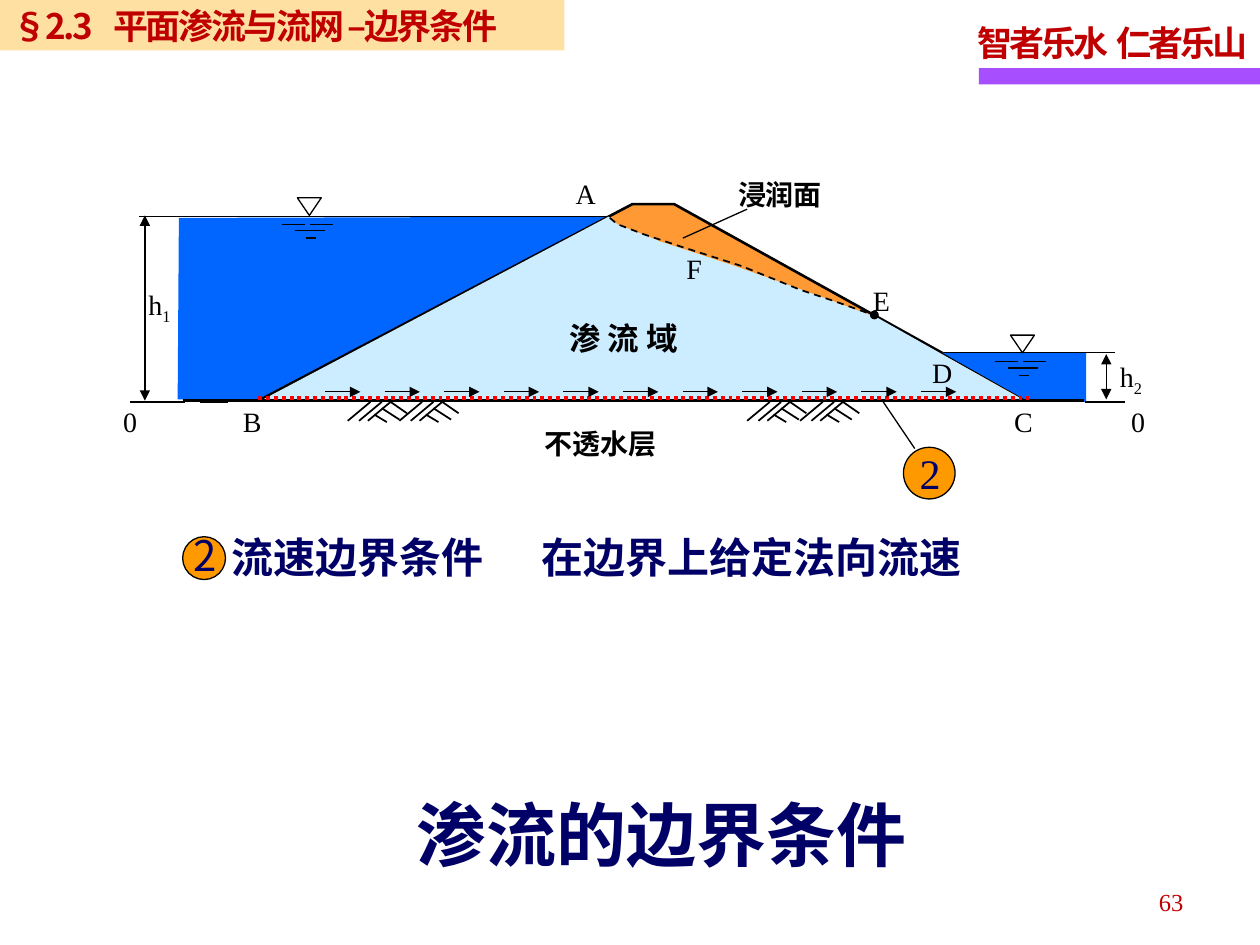
import pptx
import pptx.util
from lxml import etree
from pptx.dml.color import RGBColor
from pptx.enum.dml import MSO_LINE
from pptx.enum.shapes import MSO_CONNECTOR, MSO_SHAPE
from pptx.enum.text import MSO_ANCHOR, PP_ALIGN
from pptx.oxml.ns import qn
from pptx.util import Inches

BLACK = RGBColor(0, 0, 0)
NAVY = RGBColor(0x00, 0x00, 0x66)
CRIMSON = RGBColor(0xC0, 0x00, 0x00)
RED = RGBColor(0xFF, 0x00, 0x00)
PURPLE = RGBColor(0xA7, 0x4F, 0xFF)
CREAM = RGBColor(0xFF, 0xCC, 0x66)
AMBER = RGBColor(0xFF, 0x99, 0x00)
ORANGE = RGBColor(0xFF, 0x99, 0x33)
WATER = RGBColor(0x00, 0x66, 0xFF)
PALE = RGBColor(0xCC, 0xEC, 0xFF)
ROMAN = "Times New Roman"
SANS = "Noto Sans CJK SC"


class Sketch:
    def __init__(self, slide):
        self.slide = slide
        self.shapes = slide.shapes

    def paint(self, shape, fill, width):
        shape.shadow.inherit = False
        if fill is None:
            shape.fill.background()
        else:
            shape.fill.solid()
            shape.fill.fore_color.rgb = fill
        if width:
            shape.line.color.rgb = BLACK
            shape.line.width = pptx.util.Pt(width)
        else:
            shape.line.fill.background()
        return shape

    def shape(self, kind, x, y, w, h, fill=None, width=0.75):
        box = [Inches(v) for v in (x, y, w, h)]
        return self.paint(self.shapes.add_shape(kind, *box), fill, width)

    def free(self, points, fill=None, width=0, close=True):
        spots = [(Inches(x), Inches(y)) for x, y in points]
        pen = self.shapes.build_freeform(*spots[0])
        pen.add_line_segments(spots[1:], close=close)
        return self.paint(pen.convert_to_shape(), fill, width)

    def line(self, x1, y1, x2, y2, width=0.75, color=BLACK, ends=()):
        spots = [Inches(v) for v in (x1, y1, x2, y2)]
        link = self.shapes.add_connector(MSO_CONNECTOR.STRAIGHT, *spots)
        link.line.color.rgb = color
        link.line.width = pptx.util.Pt(width)
        for end in ends:
            etree.SubElement(link.line._get_or_add_ln(), qn("a:" + end), type="triangle")
        etree.SubElement(link._element.spPr, qn("a:effectLst"))
        return link

    def text(self, x, y, w, h, words, size=16, color=BLACK, bold=False, face=ROMAN,
             align=PP_ALIGN.LEFT, space=1.0, track=0, tab=None, sub=None, inset=0.1):
        box = self.shapes.add_textbox(*[Inches(v) for v in (x, y, w, h)])
        frame = box.text_frame
        frame.margin_left = frame.margin_right = Inches(inset)
        self.label(frame, words, size, color, bold, face, align, space, track, tab, sub)

    def label(self, frame, words, size, color, bold, face,
              align=PP_ALIGN.LEFT, space=1.0, track=0, tab=None, sub=None):
        frame.word_wrap = True
        para = frame.paragraphs[0]
        para.alignment = align
        para.line_spacing = space
        if tab:
            stops = etree.SubElement(para._p.get_or_add_pPr(), qn("a:tabLst"))
            etree.SubElement(stops, qn("a:tab"), pos=str(Inches(tab)), algn="l")
        font = para.font
        font.name, font.size, font.bold = face, pptx.util.Pt(size), bold
        font.color.rgb = color
        if track:
            font._rPr.set("spc", str(track))
        etree.SubElement(font._rPr, qn("a:ea"), typeface=SANS)
        para.add_run().text = words
        if sub:
            low = para.add_run()
            low.text = sub
            low.font._rPr.set("baseline", "-25000")

    def level(self, x, y):
        """Water level mark, hung from the surface at x, y."""
        self.shape(MSO_SHAPE.ISOSCELES_TRIANGLE, x - 0.1, y - 0.14, 0.19, 0.14).rotation = 180
        for left, right, drop in ((-0.22, -0.04, 0.07), (0, 0.18, 0.07),
                                  (-0.12, 0.12, 0.12), (-0.03, 0.05, 0.18)):
            self.line(x + left, y + drop, x + right, y + drop)

    def hatch(self, x):
        """Ground strokes whose left end is x."""
        for step in (0, 0.09, 0.16):
            self.line(x + step + 0.18, 3.19, x + step, 3.34, 1)
        for left, top, right, base in ((0.27, 3.24, 0.41, 3.33), (0.21, 3.29, 0.31, 3.35),
                                       (0.34, 3.19, 0.47, 3.28)):
            self.line(x + left, top, x + right, base, 1)


def main():
    deck = pptx.Presentation()
    deck.slide_width, deck.slide_height = Inches(10), Inches(7.5)
    art = Sketch(deck.slides.add_slide(deck.slide_layouts[6]))

    # Motto and page number
    art.shape(MSO_SHAPE.RECTANGLE, 7.77, 0.54, 2.23, 0.13, PURPLE, 0)
    art.text(7.66, 0.07, 2.36, 0.49, "智者乐水\t仁者乐山", 20, CRIMSON, True,
             space=1.15, track=-170, tab=1.1)
    art.text(7.16, 6.96, 2.33, 0.4, "63", 14, CRIMSON, align=PP_ALIGN.RIGHT, space=1.15)

    # Slide title and condition
    art.text(3.21, 6.23, 4.3, 0.77, "渗流的边界条件", 40, NAVY, True, SANS)
    art.shape(MSO_SHAPE.OVAL, 1.45, 4.26, 0.34, 0.34, AMBER)
    art.text(1.44, 4.15, 0.37, 0.5, "2", 24, NAVY, face=SANS)
    art.text(1.74, 4.17, 7.01, 0.5, "流速边界条件\t在边界上给定法向流速", 24, NAVY, True, tab=2.46)

    # Callout to the base
    art.line(7.01, 3.19, 7.26, 3.56)
    art.shape(MSO_SHAPE.OVAL, 7.17, 3.55, 0.41, 0.41, AMBER)
    art.text(7.2, 3.5, 0.37, 0.5, "2", 24, NAVY)

    # Water, dam and seepage zone
    art.free([(1.42, 1.73), (4.82, 1.72), (2.03, 3.18), (1.41, 3.17)], WATER)
    art.free([(2.05, 3.18), (5.02, 1.62), (5.35, 1.62), (8.16, 3.18)], ORANGE, 1.5, close=False)
    art.free([(2.09, 3.17), (4.83, 1.72), (4.9, 1.78), (5.25, 1.92), (5.8, 2.1), (6.28, 2.27),
              (6.61, 2.39), (6.96, 2.52), (8.13, 3.18)], PALE)
    art.free([(7.48, 2.8), (8.62, 2.8), (8.62, 3.19), (8.17, 3.19)], WATER)
    curve = art.free([(4.84, 1.73), (4.9, 1.78), (5.11, 1.86), (5.38, 1.95), (5.88, 2.11),
                      (6.35, 2.3), (6.62, 2.39), (6.93, 2.5)], None, 1, close=False)
    curve.line.dash_style = MSO_LINE.DASH
    art.shape(MSO_SHAPE.OVAL, 6.91, 2.47, 0.06, 0.06, BLACK)

    # Base and water surfaces
    art.line(1.45, 3.18, 8.6, 3.18, 1.5)
    for left, right, y in ((1.1, 4.82, 1.72), (7.49, 8.85, 2.8), (8.61, 8.93, 3.19),
                           (1.59, 1.81, 3.19), (1.03, 1.47, 3.19)):
        art.line(left, y, right, y)
    art.level(2.46, 1.71)
    art.level(8.12, 2.8)

    # Depth arrows
    for x, top, base in ((1.15, 1.71, 3.18), (8.78, 2.81, 3.17)):
        art.line(x, top, x, base, ends=("headEnd", "tailEnd"))

    # Ground strokes
    for x in (2.76, 3.17, 5.93, 6.35):
        art.hatch(x)

    # Flow along the base
    base = art.line(2.05, 3.16, 8.17, 3.16, 2.25, RED)
    base.line.dash_style = MSO_LINE.ROUND_DOT
    for i in range(11):
        x = 2.58 + 0.473 * i
        art.line(x, 3.11, x + 0.28, 3.11, ends=("tailEnd",))

    # Labels
    for mark, sub, x, y in (("A", None, 4.47, 1.31), ("B", None, 1.83, 3.12),
                            ("C", None, 7.95, 3.12), ("D", None, 7.3, 2.73),
                            ("E", None, 6.83, 2.16), ("F", None, 5.35, 1.91),
                            ("0", None, 0.88, 3.12), ("0", None, 8.88, 3.12),
                            ("h", "1", 1.08, 2.19), ("h", "2", 8.79, 2.76)):
        art.text(x, y, 0.5, 0.44, mark, space=1.15, sub=sub)
    art.text(4.42, 2.44, 1.65, 0.45, "渗 流 域", 18, bold=True, space=1.15)
    for words, x, y, w in (("不透水层", 3.97, 3.3, 1.59), ("浸润面", 5.64, 1.32, 1.1)):
        art.text(x, y, w, 0.37, words, bold=True, align=PP_ALIGN.CENTER, space=1.15, inset=0)
    art.line(5.42, 1.89, 5.93, 1.66)

    # Section band
    band = art.shape(MSO_SHAPE.RECTANGLE, 0, 0, 4.48, 0.4, CREAM, 0)
    tint = band.fill._xPr.find(qn("a:solidFill"))[0]
    etree.SubElement(tint, qn("a:alpha"), val="60000")
    band.text_frame.vertical_anchor = MSO_ANCHOR.MIDDLE
    art.label(band.text_frame, "§2.3\t平面渗流与流网 –边界条件", 20, CRIMSON, True, SANS,
              track=-140, tab=0.8)

    deck.save("out.pptx")


if __name__ == "__main__":
    main()
